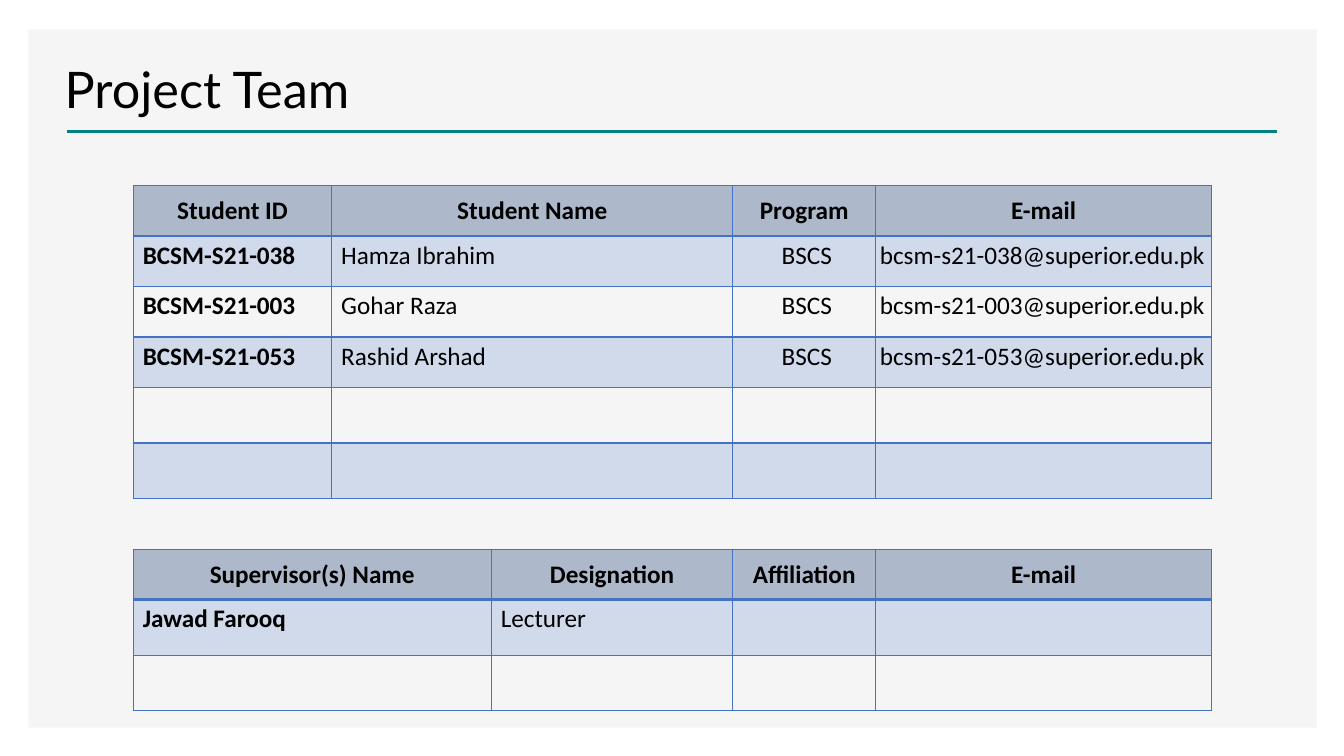
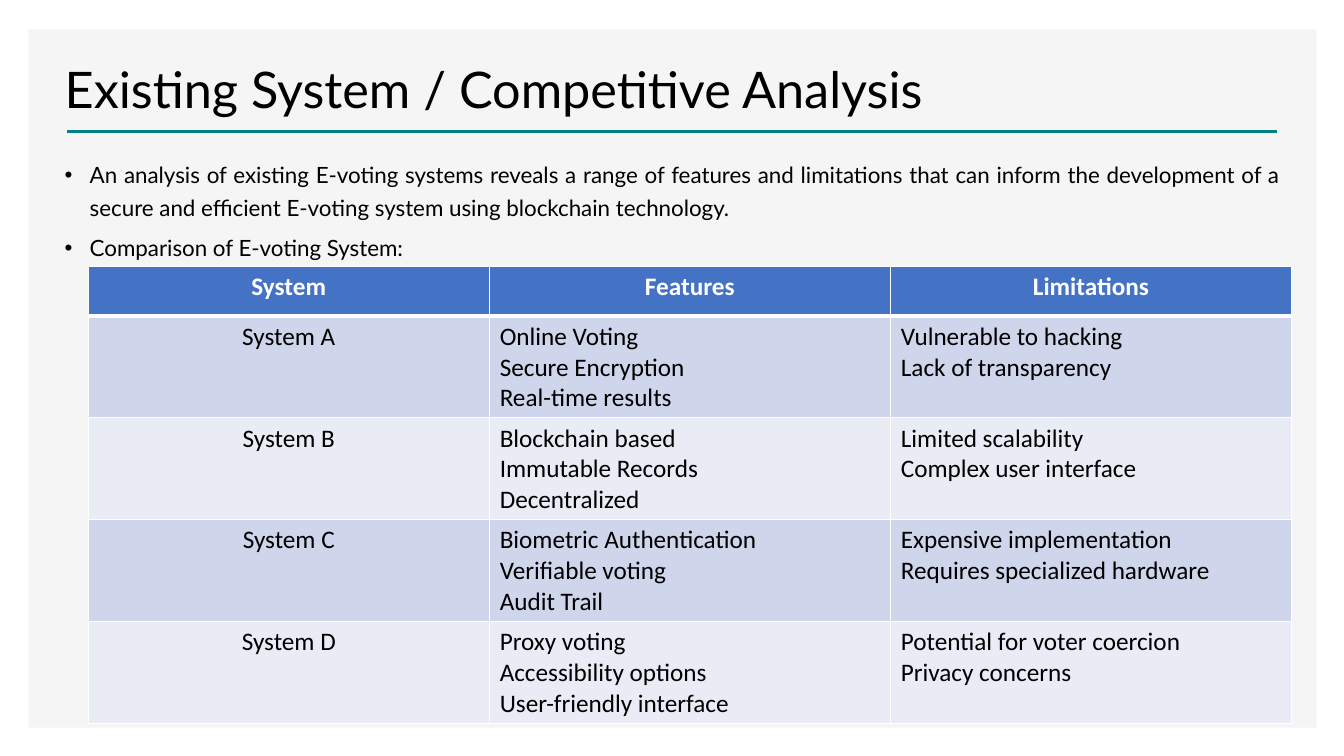
"""Build the project team and competitive analysis slides."""
from dataclasses import dataclass
from typing import Optional

from lxml.etree import SubElement
from pptx import Presentation
from pptx.dml.color import RGBColor
from pptx.enum.shapes import MSO_CONNECTOR, MSO_SHAPE
from pptx.enum.text import MSO_ANCHOR as Anchor
from pptx.enum.text import MSO_AUTO_SIZE as AutoSize
from pptx.enum.text import PP_ALIGN as Align
from pptx.oxml.ns import qn
from pptx.util import Emu, Pt

PX = 9525
BLACK = RGBColor(0x00, 0x00, 0x00)
WHITE = RGBColor(0xFF, 0xFF, 0xFF)
PANEL = RGBColor(0xF5, 0xF5, 0xF5)
TEAL = RGBColor(0x00, 0x82, 0x84)
BLUE = RGBColor(0x44, 0x72, 0xC4)
SLATE = RGBColor(0xAD, 0xB9, 0xCA)
BAND_DARK = RGBColor(0xCF, 0xD5, 0xEA)
BAND_LIGHT = RGBColor(0xE9, 0xEB, 0xF5)
TITLE_FONT = "Lato"
TABLE_FONT = "Calibri"


@dataclass(frozen=True)
class Paint:
    color: RGBColor
    opacity: int = 100


@dataclass(frozen=True)
class Margins:
    left: int
    top: int
    right: int
    bottom: int


@dataclass(frozen=True)
class Column:
    heading: str
    width: int
    align: Align = Align.LEFT
    bold: bool = False
    margins: Optional[Margins] = None


@dataclass(frozen=True)
class Look:
    heading_fill: Paint
    heading_color: RGBColor
    heading_anchor: Anchor
    bands: tuple[Optional[Paint], Optional[Paint]]
    border: RGBColor
    heading_rule: int
    margins: Margins


@dataclass(frozen=True)
class Grid:
    left: int
    top: int
    columns: list[Column]
    heights: list[int]
    rows: list[tuple[str, ...]]
    look: Look


TIGHT = Margins(4, 4, 4, 4)
INDENTED = Margins(9, 4, 4, 4)
TEAM_LOOK = Look(Paint(SLATE), BLACK, Anchor.MIDDLE, (Paint(BLUE, 20), None), BLUE, 2, TIGHT)
ANALYSIS_LOOK = Look(Paint(BLUE), WHITE, Anchor.TOP, (Paint(BAND_DARK), Paint(BAND_LIGHT)),
                     WHITE, 3, Margins(10, 5, 10, 5))

STUDENTS = Grid(
    127, 177,
    [Column("Student ID", 189, bold=True, margins=INDENTED),
     Column("Student Name", 382, margins=INDENTED),
     Column("Program", 136, Align.CENTER, margins=INDENTED),
     Column("E-mail", 320)],
    [48, 48, 48, 48, 53, 53],
    [("BCSM-S21-038", "Hamza Ibrahim", "BSCS", "bcsm-s21-038@superior.edu.pk"),
     ("BCSM-S21-003", "Gohar Raza", "BSCS", "bcsm-s21-003@superior.edu.pk"),
     ("BCSM-S21-053", "Rashid Arshad", "BSCS", "bcsm-s21-053@superior.edu.pk"),
     ("", "", "", ""),
     ("", "", "", "")],
    TEAM_LOOK)
SUPERVISORS = Grid(
    127, 523,
    [Column("Supervisor(s) Name", 341, bold=True, margins=INDENTED),
     Column("Designation", 230, margins=INDENTED),
     Column("Affiliation", 136),
     Column("E-mail", 320)],
    [48, 53, 53],
    [("Jawad Farooq", "Lecturer", "", ""), ("", "", "", "")],
    TEAM_LOOK)
SYSTEMS = Grid(
    84, 254,
    [Column("System", 382, Align.CENTER), Column("Features", 382), Column("Limitations", 382)],
    [47] + [97] * 4,
    [("System A", "Online Voting\nSecure Encryption\nReal-time results",
      "Vulnerable to hacking\nLack of transparency"),
     ("System B", "Blockchain based\nImmutable Records\nDecentralized",
      "Limited scalability\nComplex user interface"),
     ("System C", "Biometric Authentication\nVerifiable voting\nAudit Trail",
      "Expensive implementation\nRequires specialized hardware"),
     ("System D", "Proxy voting\nAccessibility options\nUser-friendly interface",
      "Potential for voter coercion\nPrivacy concerns")],
    ANALYSIS_LOOK)
FINDINGS = [
    "An analysis of existing E-voting systems reveals a range of features and limitations that "
    "can inform the development of a secure and efficient E-voting system using blockchain "
    "technology.",
    "Comparison of E-voting System:",
]


def px(length: int) -> Emu:
    return Emu(length * PX)


def style_font(para, name: str, size: int, color: RGBColor, bold: bool = False) -> None:
    font = para.font
    font.name, font.size, font.bold = name, Pt(size), bold
    font.color.rgb = color


def add_backdrop(page) -> None:
    panel = page.shapes.add_shape(MSO_SHAPE.RECTANGLE, px(27), px(28), px(1227), px(665))
    panel.shadow.inherit = False
    panel.fill.solid()
    panel.fill.fore_color.rgb = PANEL
    panel.line.fill.background()
    rule = page.shapes.add_connector(MSO_CONNECTOR.STRAIGHT, px(64), px(125), px(1216), px(125))
    rule.line.color.rgb = TEAL
    rule.line.width = Pt(2)
    SubElement(rule.element.spPr, qn("a:effectLst"))
    tree = page.slide_layout.shapes.element
    for offset, shape in enumerate((panel, rule)):
        shape.element.xpath(".//p:cNvPr")[0].set("id", str(101 + offset))
        tree.insert(2 + offset, shape.element)


def set_title(page, text: str) -> None:
    title = page.shapes.title
    title.left, title.top, title.width, title.height = px(52), px(35), px(1177), px(84)
    frame = title.text_frame
    frame.text = text
    frame.auto_size = AutoSize.NONE
    frame.vertical_anchor = Anchor.BOTTOM
    para = frame.paragraphs[0]
    para.alignment = Align.LEFT
    para.line_spacing = 0.9
    style_font(para, TITLE_FONT, 36, BLACK)


def add_bullets(page, lines: list[str]) -> None:
    box = page.shapes.add_textbox(px(52), px(144), px(1177), px(505))
    frame = box.text_frame
    frame.word_wrap = True
    frame.text = "\n".join(lines)
    for para in frame.paragraphs:
        para.alignment = Align.JUSTIFY
        para.line_spacing = 1.2
        para.space_after = Pt(6)
        properties = para._p.get_or_add_pPr()
        properties.set("marL", str(px(24)))
        properties.set("indent", str(px(-24)))
        SubElement(properties, qn("a:buFont"), typeface="Arial")
        SubElement(properties, qn("a:buChar"), char="•")
        style_font(para, TITLE_FONT, 16, BLACK)


def paint_cell(cell, paint: Optional[Paint]) -> None:
    if paint is None:
        cell.fill.background()
        return
    cell.fill.solid()
    cell.fill.fore_color.rgb = paint.color
    if paint.opacity < 100:
        color = cell._tc.tcPr.find(f".//{qn('a:srgbClr')}")
        SubElement(color, qn("a:alpha"), val=str(paint.opacity * 1000))


def add_borders(cell, color: RGBColor, top: int, bottom: int) -> None:
    properties = cell._tc.get_or_add_tcPr()
    sides = (("L", 1), ("R", 1), ("T", top), ("B", bottom))
    for position, (side, width) in enumerate(sides):
        line = SubElement(properties, qn(f"a:ln{side}"), w=str(Pt(width)))
        SubElement(SubElement(line, qn("a:solidFill")), qn("a:srgbClr"), val=str(color))
        properties.insert(position, line)


def fill_cell(cell, text: str, row: int, column: Column, look: Look) -> None:
    heading = row == 0
    margins = look.margins if heading else column.margins or look.margins
    cell.margin_left, cell.margin_top = px(margins.left), px(margins.top)
    cell.margin_right, cell.margin_bottom = px(margins.right), px(margins.bottom)
    cell.vertical_anchor = look.heading_anchor if heading else Anchor.TOP
    cell.text_frame.text = text
    for para in cell.text_frame.paragraphs:
        para.alignment = Align.CENTER if heading else column.align
        style_font(para, TABLE_FONT, 18, look.heading_color if heading else BLACK,
                   heading or column.bold)
    paint_cell(cell, look.heading_fill if heading else look.bands[(row - 1) % 2])
    add_borders(cell, look.border, look.heading_rule if row == 1 else 1,
                look.heading_rule if heading else 1)


def add_grid(page, grid: Grid) -> None:
    rows = [tuple(column.heading for column in grid.columns), *grid.rows]
    width = sum(column.width for column in grid.columns)
    table = page.shapes.add_table(len(rows), len(grid.columns), px(grid.left), px(grid.top),
                                  px(width), px(sum(grid.heights))).table
    table.first_row = table.horz_banding = False
    for index, column in enumerate(grid.columns):
        table.columns[index].width = px(column.width)
    for row, (texts, height) in enumerate(zip(rows, grid.heights)):
        table.rows[row].height = px(height)
        for index, (text, column) in enumerate(zip(texts, grid.columns)):
            fill_cell(table.cell(row, index), text, row, column, grid.look)


def main() -> None:
    deck = Presentation()
    deck.slide_width, deck.slide_height = px(1280), px(720)
    layout = deck.slide_layouts.get_by_name("Title Only")

    team = deck.slides.add_slide(layout)
    add_backdrop(team)
    set_title(team, "Project Team")
    add_grid(team, STUDENTS)
    add_grid(team, SUPERVISORS)

    analysis = deck.slides.add_slide(layout)
    set_title(analysis, "Existing System / Competitive Analysis")
    add_bullets(analysis, FINDINGS)
    add_grid(analysis, SYSTEMS)

    deck.save("out.pptx")


if __name__ == "__main__":
    main()
